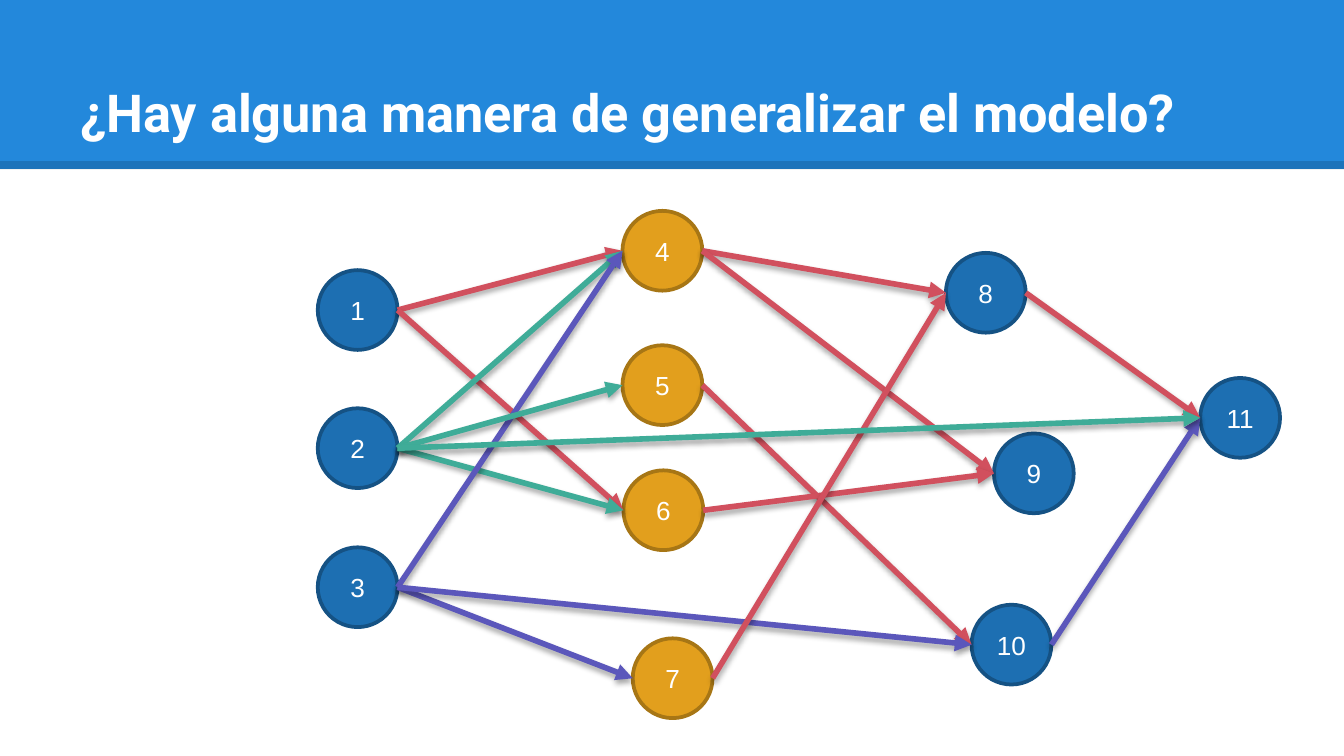
"""Build a slide with a layered network of eleven nodes joined by coloured arrows."""
from lxml import etree
from pptx import Presentation
from pptx.dml.color import RGBColor
from pptx.enum.shapes import MSO_CONNECTOR, MSO_SHAPE
from pptx.enum.text import MSO_ANCHOR, PP_ALIGN
from pptx.oxml.ns import qn
from pptx.util import Pt

STRAIGHT = MSO_CONNECTOR.STRAIGHT
RECTANGLE, OVAL = MSO_SHAPE.RECTANGLE, MSO_SHAPE.OVAL
MIDDLE, BOTTOM = MSO_ANCHOR.MIDDLE, MSO_ANCHOR.BOTTOM
CENTER = PP_ALIGN.CENTER

THEME = {
    "band": "2388DB", "rule": "000000", "shadow": "000000", "text": "FFFFFF",
    "blue": ("1D6FB2", "155284"), "gold": ("E29F1D", "A77615"),
    "red": "D1505E", "green": "3FAC98", "violet": "5B57BB",
    "title_size": 28, "node_size": 14, "title_font": "Roboto", "node_font": "Arial",
}
DIAMETER = 42.75


def add_line(start, end, color, width):
    line = slide.shapes.add_connector(STRAIGHT, *(Pt(v) for v in (*start, *end)))
    line.line.width = Pt(width)
    line.line.color.rgb = RGBColor.from_string(color)
    effects = etree.SubElement(line._element.spPr, qn("a:effectLst"))
    return line, effects


def add_run(paragraph, text, font, size):
    run = paragraph.add_run()
    run.text = text
    run.font.name = font
    run.font.size = Pt(size)
    run.font.color.rgb = RGBColor.from_string(THEME["text"])
    return run


prs = Presentation()
prs.slide_width, prs.slide_height = Pt(720), Pt(405)
slide = prs.slides.add_slide(prs.slide_layouts[6])

band = slide.shapes.add_shape(RECTANGLE, 0, 0, Pt(720), Pt(90.5))
band.shadow.inherit = False
band.fill.solid()
band.fill.fore_color.rgb = RGBColor.from_string(THEME["band"])
band.line.fill.background()

rule, _ = add_line((0, 88.5), (720, 88.5), THEME["rule"], 4.5)
rule_color = rule._element.spPr.find(".//" + qn("a:srgbClr"))
etree.SubElement(rule_color, qn("a:alpha"), val="14000")

title = slide.shapes.add_textbox(Pt(36), Pt(16.5), Pt(648), Pt(67.5)).text_frame
title.word_wrap = True
title.vertical_anchor = BOTTOM
title.margin_left = title.margin_right = title.margin_top = title.margin_bottom = Pt(7.2)
question = add_run(title.paragraphs[0], "¿Hay alguna manera de generalizar el modelo?",
                   THEME["title_font"], THEME["title_size"])
question.font.bold = True

nodes = {
    1: (170.25, 144.75, "blue"), 2: (170.25, 218.75, "blue"), 3: (170.25, 293.25, "blue"),
    4: (333.5, 113, "gold"), 5: (333.5, 185, "gold"), 6: (334, 252, "gold"),
    7: (339, 342, "gold"), 8: (506.75, 135.5, "blue"), 9: (532.5, 232.25, "blue"),
    10: (520.5, 324, "blue"), 11: (643, 202.5, "blue"),
}
for number, (left, top, tone) in nodes.items():
    node = slide.shapes.add_shape(OVAL, Pt(left), Pt(top), Pt(DIAMETER), Pt(DIAMETER))
    node.shadow.inherit = False
    fill, outline = THEME[tone]
    node.fill.solid()
    node.fill.fore_color.rgb = RGBColor.from_string(fill)
    node.line.color.rgb = RGBColor.from_string(outline)
    node.line.width = Pt(2)
    label = node.text_frame
    label.margin_left = label.margin_right = label.margin_top = label.margin_bottom = 0
    label.vertical_anchor = MIDDLE
    label.paragraphs[0].alignment = CENTER
    add_run(label.paragraphs[0], str(number), THEME["node_font"], THEME["node_size"])

arrows = [
    (1, 4, "red"), (1, 6, "red"), (2, 4, "green"), (2, 6, "green"),
    (3, 4, "violet"), (3, 7, "violet"), (4, 8, "red"), (4, 9, "red"),
    (5, 10, "red"), (6, 9, "red"), (2, 5, "green"), (3, 10, "violet"),
    (7, 8, "red"), (10, 11, "violet"), (8, 11, "red"), (2, 11, "green"),
]
for source, target, tone in arrows:
    source_left, source_top, _ = nodes[source]
    target_left, target_top, _ = nodes[target]
    start = source_left + DIAMETER, source_top + DIAMETER / 2
    end = target_left, target_top + DIAMETER / 2
    arrow, effects = add_line(start, end, THEME[tone], 3)
    etree.SubElement(arrow.line._get_or_add_ln(), qn("a:tailEnd"), type="triangle")
    shadow = etree.SubElement(effects, qn("a:outerShdw"), blurRad=str(Pt(3.1)),
                              dist=str(Pt(1.8)), dir="5400000", rotWithShape="0")
    shadow_color = etree.SubElement(shadow, qn("a:srgbClr"), val=THEME["shadow"])
    etree.SubElement(shadow_color, qn("a:alpha"), val="35000")

prs.save("out.pptx")
